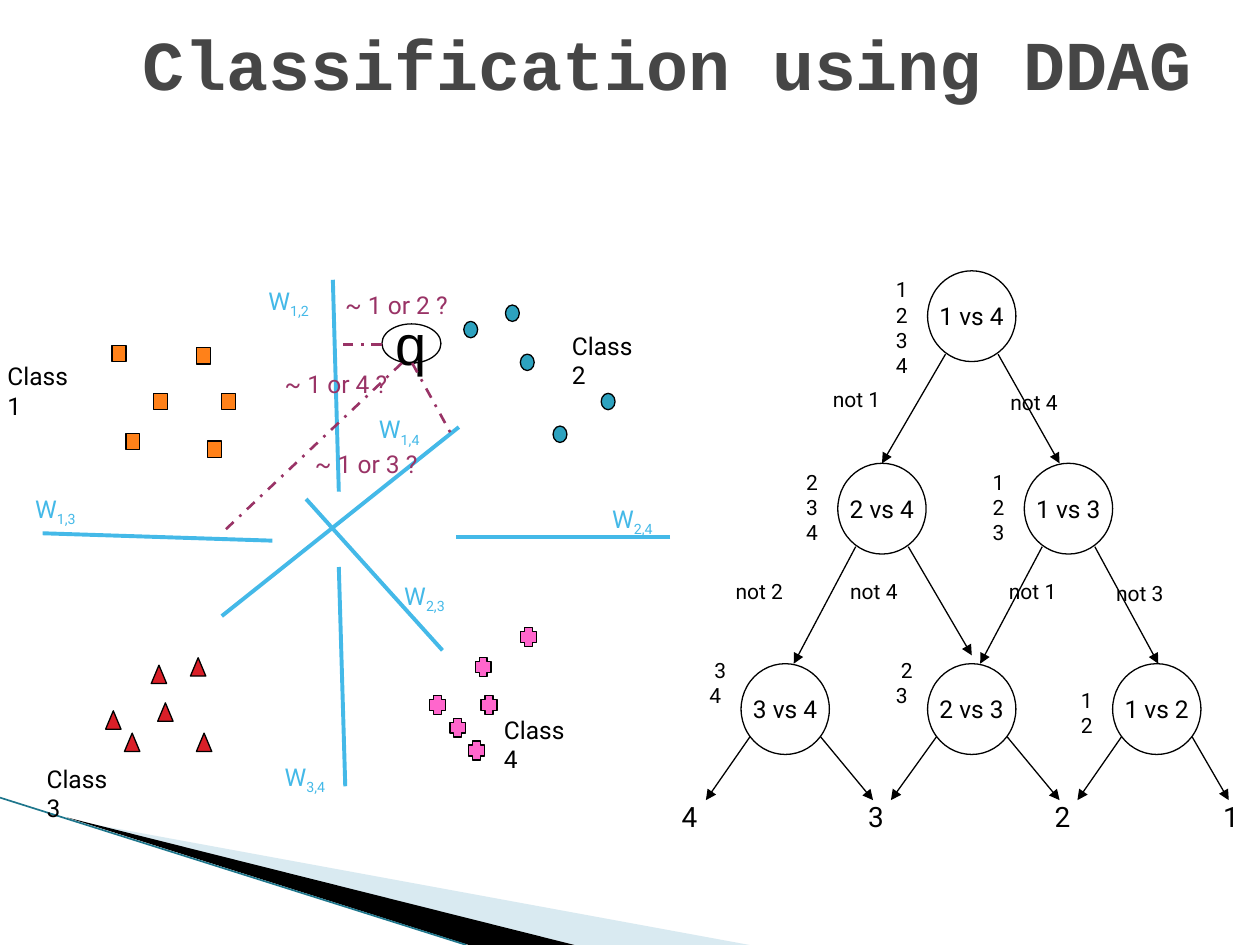
from pptx import Presentation
from pptx import util as u
from pptx.dml.color import RGBColor
from pptx.enum import dml, shapes, text
from pptx.oxml.ns import qn
from lxml import etree

FONT, INK, BLUE, PLUM = "Roboto", "000000", "44B9E8", "993366"
KIND = shapes.MSO_SHAPE


def paint(color_format, hex_color):
    """Set a colour format from a hex string."""
    color_format.rgb = RGBColor.from_string(hex_color)


def place(box, x, y):
    """Turn centimetres inside a box into slide lengths."""
    return u.Cm(box[0] + x), u.Cm(box[1] + y)


def write(frame, words, size=14, font=FONT, color=INK, bold=False, align=None,
          anchor=text.MSO_ANCHOR.TOP, wrap=True, sub="", indent=0):
    """Fill a text frame with one formatted paragraph and optional subscript."""
    frame.word_wrap, frame.vertical_anchor = wrap, anchor
    frame.auto_size = text.MSO_AUTO_SIZE.NONE
    paragraph = frame.paragraphs[0]
    paragraph.alignment = align
    if indent:
        paragraph._p.get_or_add_pPr().set("indent", str(u.Cm(indent)))
    for part in filter(None, (words, sub)):
        run = paragraph.add_run()
        run.text = part
        run.font.size, run.font.name, run.font.bold = u.Pt(size), font, bold
        paint(run.font.color, color)
    if sub:
        run._r.get_or_add_rPr().set("baseline", "-25000")


def label(slide, box, x, y, width, height, words, **style):
    """Add a text box."""
    area = slide.shapes.add_textbox(*place(box, x, y), u.Cm(width), u.Cm(height))
    write(area.text_frame, words, **style)


def figure(slide, box, kind, x, y, width, height, fill=None):
    """Add a thinly outlined preset shape."""
    shape = slide.shapes.add_shape(kind, *place(box, x, y), u.Cm(width), u.Cm(height))
    shape.shadow.inherit = False
    if fill:
        shape.fill.solid()
        paint(shape.fill.fore_color, fill)
    else:
        shape.fill.background()
    paint(shape.line.color, INK)
    shape.line.width = u.Pt(0.75)
    return shape


def line(slide, box, start, end, color=INK, width=0.75, dash=None, arrow=False):
    """Add a straight line, dashed or with an arrowhead if asked."""
    link = slide.shapes.add_connector(
        shapes.MSO_CONNECTOR.STRAIGHT, *place(box, *start), *place(box, *end))
    paint(link.line.color, color)
    link.line.width = u.Pt(width)
    if dash:
        link.line.dash_style = dash
    if arrow:
        etree.SubElement(link.line._get_or_add_ln(), qn("a:tailEnd"), type="triangle")
    etree.SubElement(link._element.spPr, qn("a:effectLst"))


def wedge(slide, box, points, color, opacity=100):
    """Add a filled polygon without an outline."""
    first, *rest = [place(box, *point) for point in points]
    builder = slide.shapes.build_freeform(*first)
    builder.add_line_segments(rest, close=True)
    shape = builder.convert_to_shape()
    shape.shadow.inherit = False
    shape.line.fill.background()
    shape.fill.solid()
    paint(shape.fill.fore_color, color)
    if opacity < 100:
        tint = shape._element.spPr.find(".//" + qn("a:srgbClr"))
        etree.SubElement(tint, qn("a:alpha"), val=str(opacity * 1000))


def draw_corner(slide, box):
    """Draw the swoosh at the foot of the slide."""
    wedge(slide, box, [(1.4, 0.45), (15.11, 2.97), (11.58, 2.97)], "A0CBDC", 40)
    wedge(slide, box, [(1.35, 0.4), (11.58, 2.97), (9.45, 2.97)], INK)
    line(slide, box, (0, 0), (9.4, 2.97), "1E768C", 0.95)


def draw_title(slide, box):
    """Place the title placeholder and fill it."""
    title = slide.shapes.title
    title.left, title.top = place(box, 0, 0)
    title.width, title.height = u.Cm(22.3), u.Cm(2.11)
    write(title.text_frame, "Classification using DDAG", size=40, font="Courier New",
          color="464646", bold=True, align=text.PP_ALIGN.CENTER,
          anchor=text.MSO_ANCHOR.MIDDLE)


def draw_node(slide, box, kind, x, y, width, height, words, **style):
    """Draw an outlined shape with centred text."""
    shape = figure(slide, box, kind, x, y, width, height)
    write(shape.text_frame, words, align=text.PP_ALIGN.CENTER,
          anchor=text.MSO_ANCHOR.MIDDLE, wrap=False, **style)


def draw_feature_space(slide, box):
    """Draw the four classes, their pairwise boundaries and the query point."""
    classes = [
        ("Class 1", (-0.1, 1.52), KIND.RECTANGLE, "FF8119", 0.28, 0.33,
         [(2.26, 1.32), (4.47, 2.29), (4.19, 3.25), (3.1, 2.29), (2.54, 3.1), (3.96, 1.37)]),
        ("Class 2", (11.28, 0.91), KIND.OVAL, "2DA2BF", 0.28, 0.33,
         [(10.19, 0.51), (10.49, 1.5), (12.12, 2.29), (9.35, 0.84), (11.15, 2.95)]),
        ("Class 3", (0.69, 9.63), KIND.ISOSCELES_TRIANGLE, "DA1F28", 0.31, 0.37,
         [(2.13, 8.69), (2.51, 9.14), (3.84, 7.62), (3.18, 8.53), (3.96, 9.14), (3.05, 7.77)]),
        ("Class 4", (9.91, 8.64), KIND.CROSS, "FF66CC", 0.32, 0.38,
         [(8.66, 8.38), (9.07, 8.84), (9.7, 8.38), (9.58, 7.62), (9.45, 9.3), (10.49, 7.01)]),
    ]
    for name, spot, kind, color, width, height, samples in classes:
        for sample in samples:
            figure(slide, box, kind, *sample, width, height, color)
        label(slide, box, *spot, 2.06, 0.84, name)

    boundaries = [
        ("1,2", (5.16, 0), (6.83, 4.27), (6.71, 0)),
        ("1,3", (0.46, 4.19), (0.86, 5.11), (5.49, 5.26)),
        ("1,4", (7.39, 2.59), (9.25, 2.97), (4.47, 6.78)),
        ("2,3", (7.9, 5.94), (8.92, 7.47), (6.17, 4.42)),
        ("3,4", (5.49, 9.6), (6.96, 10.21), (6.83, 5.79)),
        ("2,4", (12.09, 4.39), (13.51, 5.18), (9.19, 5.18)),
    ]
    for pair, spot, start, end in boundaries:
        line(slide, box, start, end, BLUE, 2.25)
        label(slide, box, *spot, 1.8, 0.84, "W", color=BLUE, sub=pair)

    draw_node(slide, box, KIND.OVAL, 7.7, 0.89, 1.19, 0.79, "q", size=32, font="Arial")
    tests = [
        ("~ 1 or 4 ?", (5.49, 1.68), (8.31, 1.68), (9.09, 3.1)),
        ("~ 1 or 3 ?", (6.1, 3.28), (8.1, 1.68), (4.5, 5.08)),
        ("~ 1 or 2 ?", (6.71, 0.08), (7.7, 1.3), (6.91, 1.3)),
    ]
    for question, spot, start, end in tests:
        line(slide, box, start, end, PLUM, 1.5, dml.MSO_LINE.DASH_DOT)
        label(slide, box, *spot, 3.61, 0.84, question, color=PLUM)


def draw_decision_graph(slide, box):
    """Draw the decision nodes with their candidates, arrows and leaves."""
    width, height, leaf_y = 1.78, 1.83, 10.67
    top, middle, bottom = 0, 3.88, 7.92
    nodes = [
        ("1 vs 4", 6.1, top, "1 2 3 4", 0, 0, (4.29, middle), (7.87, middle)),
        ("2 vs 4", 4.29, middle, "2 3 4", 0, 0, (2.51, bottom), (6.1, 7.75)),
        ("1 vs 3", 8.05, middle, "1 2 3", 0, 0, (6.27, bottom), (9.86, bottom)),
        ("3 vs 4", 2.34, bottom, "3 4", -0.25, 0.1, (0.74, leaf_y), (4.11, leaf_y)),
        ("2 vs 3", 6.1, bottom, "2 3", -0.25, 0.1, (4.47, leaf_y), (7.87, leaf_y)),
        ("1 vs 2", 9.83, bottom, "1 2", 0.36, 0, (8.23, leaf_y), (11.28, leaf_y)),
    ]
    for test, center, y, candidates, shift, indent, left_end, right_end in nodes:
        draw_node(slide, box, KIND.OVAL, center - width / 2, y, width, height, test)
        label(slide, box, center - width, y + shift, 0.89, 2.28, candidates,
              size=12, indent=indent)
        reach, drop = (0.71, 1.47) if y == bottom else (0.53, 1.68)
        for side, end in ((-1, left_end), (1, right_end)):
            line(slide, box, (center + side * reach, y + drop), end, arrow=True)

    answers = [("not 1", 3.05, 2.21), ("not 4", 6.63, 2.26), ("not 2", 1.09, 6.07),
               ("not 4", 3.4, 6.07), ("not 1", 6.6, 6.07), ("not 3", 8.76, 6.12)]
    for answer, x, y in answers:
        label(slide, box, x, y, 1.96, 0.76, answer, size=12)
    for leaf, x in zip("4321", (0, 3.76, 7.52, 10.92)):
        label(slide, box, x, 10.54, 0.89, 0.94, leaf, size=16)


def main():
    """Build the slide and save it."""
    deck = Presentation()
    deck.slide_width, deck.slide_height = u.Cm(25.4), u.Cm(19.05)
    slide = deck.slides.add_slide(deck.slide_layouts[5])
    draw_corner(slide, (0, 16.08))
    draw_title(slide, (2.29, 0.2))
    draw_feature_space(slide, (0, 5.64))
    draw_decision_graph(slide, (13.49, 5.46))
    deck.save("out.pptx")


if __name__ == "__main__":
    main()
